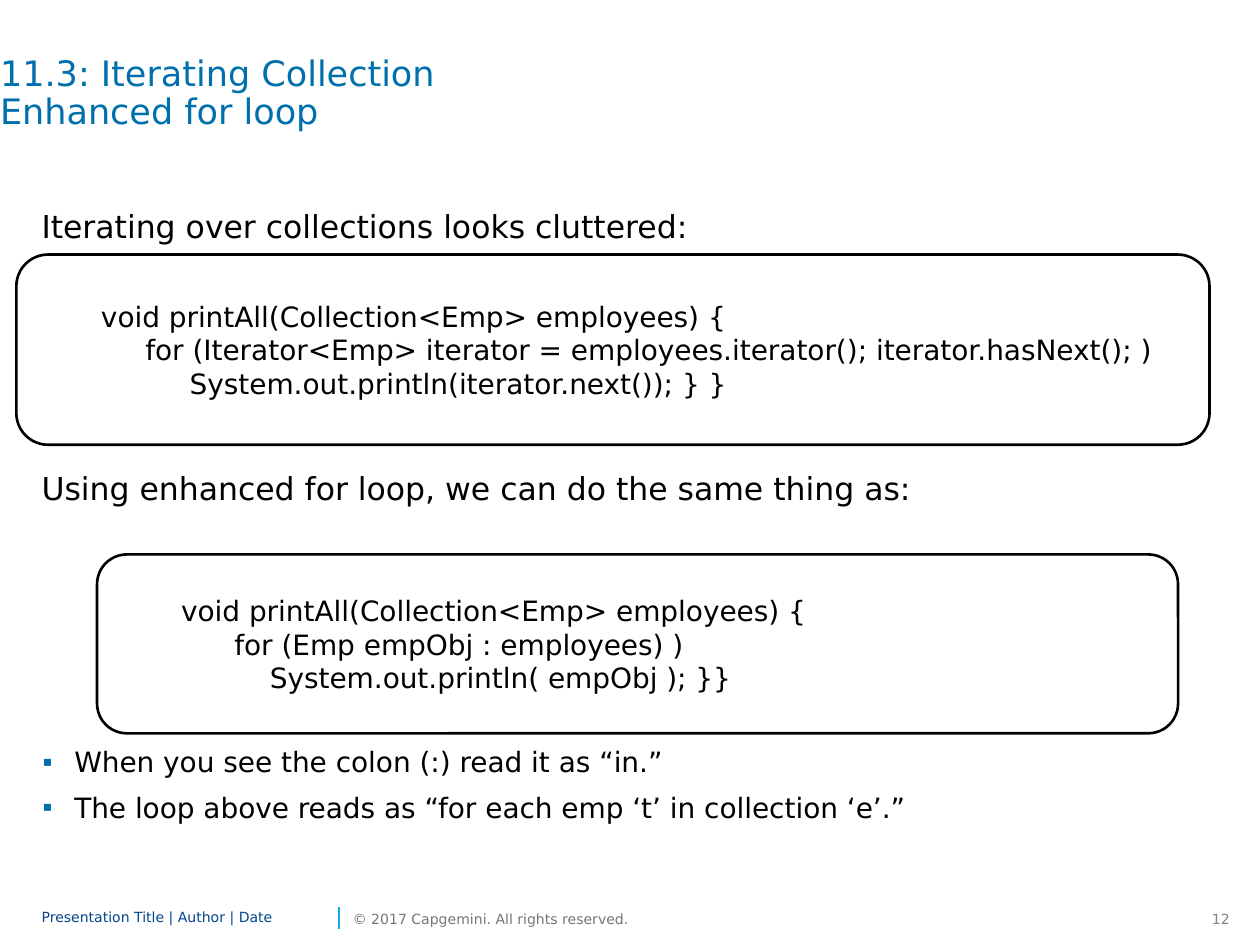
from lxml.etree import SubElement
from pptx import Presentation
from pptx.dml.color import RGBColor
from pptx.enum.shapes import MSO_CONNECTOR, MSO_SHAPE
from pptx.enum.text import MSO_ANCHOR, MSO_AUTO_SIZE, PP_ALIGN
from pptx.oxml.ns import qn
from pptx.util import Inches, Pt

FONT = "DejaVu Sans"
COLORS = {
    "title": "0070AD", "text": "000000", "divider": "12ABDB",
    "footer": "00458D", "copyright": "767676", "number": "808080",
}
READING_NOTES = [
    "When you see the colon (:) read it as “in.”",
    "The loop above reads as “for each emp ‘t’ in collection ‘e’.”",
]
ITERATOR_CODE = """void printAll(Collection<Emp> employees) {
     for (Iterator<Emp> iterator = employees.iterator(); iterator.hasNext(); )
          System.out.println(iterator.next()); } }"""
FOR_EACH_CODE = """void printAll(Collection<Emp> employees) {
      for (Emp empObj : employees) )
          System.out.println( empObj ); }}"""


def rgb(name):
    """Return the palette colour of that name."""
    return RGBColor.from_string(COLORS[name])


def style(paragraph, size, color, align=PP_ALIGN.LEFT):
    """Format every run of a paragraph."""
    paragraph.alignment = align
    for run in paragraph.runs:
        run.font.name = FONT
        run.font.size = Pt(size)
        run.font.color.rgb = rgb(color)


def set_frame(frame, anchor=MSO_ANCHOR.TOP, inset=0.0):
    """Set wrapping, anchor and equal insets of a text frame."""
    frame.word_wrap = True
    frame.auto_size = MSO_AUTO_SIZE.NONE
    frame.vertical_anchor = anchor
    frame.margin_left = frame.margin_right = Inches(inset)
    frame.margin_top = frame.margin_bottom = Inches(inset / 2)


def add_title(slide, box, text):
    """Place the title placeholder in the box."""
    title = slide.shapes.title
    title.left, title.top, title.width, title.height = map(Inches, box)
    set_frame(title.text_frame)
    title.text_frame.text = text
    heading = title.text_frame.paragraphs[0]
    heading.line_spacing = 0.9
    style(heading, 20, "title")


def add_bullet(paragraph):
    """Give a paragraph a hanging small square bullet."""
    props = paragraph._p.get_or_add_pPr()
    props.set("marL", str(Inches(0.26)))
    props.set("indent", str(Inches(-0.25)))
    bullet_color = SubElement(props, qn("a:buClr"))
    SubElement(bullet_color, qn("a:srgbClr"), val=COLORS["title"])
    SubElement(props, qn("a:buSzPct"), val="50000")
    SubElement(props, qn("a:buFont"), typeface=FONT)
    SubElement(props, qn("a:buChar"), char="▪")


def add_statements(slide, box, lines, size, leading, bulleted=False):
    """Write body lines with fixed leading, with bullets if asked."""
    frame = slide.shapes.add_textbox(*map(Inches, box)).text_frame
    set_frame(frame)
    frame.text = "\n".join(lines)
    for statement in frame.paragraphs:
        if bulleted:
            add_bullet(statement)
        statement.line_spacing = Pt(leading)
        statement.space_after = Pt(6)
        style(statement, size, "text")


def add_code_panel(slide, box, code):
    """Draw a rounded outline with indented code inside."""
    panel = slide.shapes.add_shape(MSO_SHAPE.ROUNDED_RECTANGLE, *map(Inches, box))
    panel.shadow.inherit = False
    panel.fill.background()
    panel.line.color.rgb = rgb("text")
    panel.line.width = Pt(1.5)
    set_frame(panel.text_frame, MSO_ANCHOR.MIDDLE, 0.1)
    panel.text_frame.text = code
    for code_line in panel.text_frame.paragraphs:
        code_line._p.get_or_add_pPr().set("marL", str(Inches(0.5)))
        style(code_line, 16, "text")


def add_footer(slide, box):
    """Place the footer texts and the divider in the bottom band."""
    left, top, width, height = box
    entries = [
        ("Presentation Title | Author | Date", 0, 2.32, "footer", PP_ALIGN.LEFT, 0.85),
        ("© 2017 Capgemini. All rights reserved.", 2.47, 2.4, "copyright",
         PP_ALIGN.LEFT, 1.0),
        ("12", width - 0.39, 0.39, "number", PP_ALIGN.RIGHT, 1.0),
    ]
    for text, offset, span, color, align, leading in entries:
        label = slide.shapes.add_textbox(
            *map(Inches, (left + offset, top, span, height)))
        set_frame(label.text_frame, MSO_ANCHOR.MIDDLE)
        label.text_frame.text = text
        entry = label.text_frame.paragraphs[0]
        entry.line_spacing = leading
        style(entry, 8, color, align)
    x = left + 2.36
    divider = slide.shapes.add_connector(
        MSO_CONNECTOR.STRAIGHT, *map(Inches, (x, top + 0.2, x, top + 0.03)))
    divider.line.color.rgb = rgb("divider")
    divider.line.width = Pt(1)
    SubElement(divider._element.spPr, qn("a:effectLst"))


def main():
    """Build the slide and save it."""
    deck = Presentation()
    deck.slide_width, deck.slide_height = Inches(10), Inches(7.5)
    slide = deck.slides.add_slide(deck.slide_layouts[5])
    add_footer(slide, (0.33, 7.17, 9.43, 0.24))
    add_title(slide, (0, 0.45, 9.33, 0.94),
              "11.3: Iterating Collection \vEnhanced for loop")
    add_statements(slide, (0.33, 1.64, 9.34, 0.36),
                   ["Iterating over collections looks cluttered:"], 18, 22)
    add_code_panel(slide, (0.13, 2.02, 9.47, 1.51), ITERATOR_CODE)
    add_statements(slide, (0.33, 3.72, 9.34, 0.36),
                   ["Using enhanced for loop, we can do the same thing as:"], 18, 22)
    add_code_panel(slide, (0.77, 4.4, 8.58, 1.42), FOR_EACH_CODE)
    add_statements(slide, (0.33, 5.9, 9.34, 0.8), READING_NOTES, 16, 20, True)
    deck.save("out.pptx")


if __name__ == "__main__":
    main()
